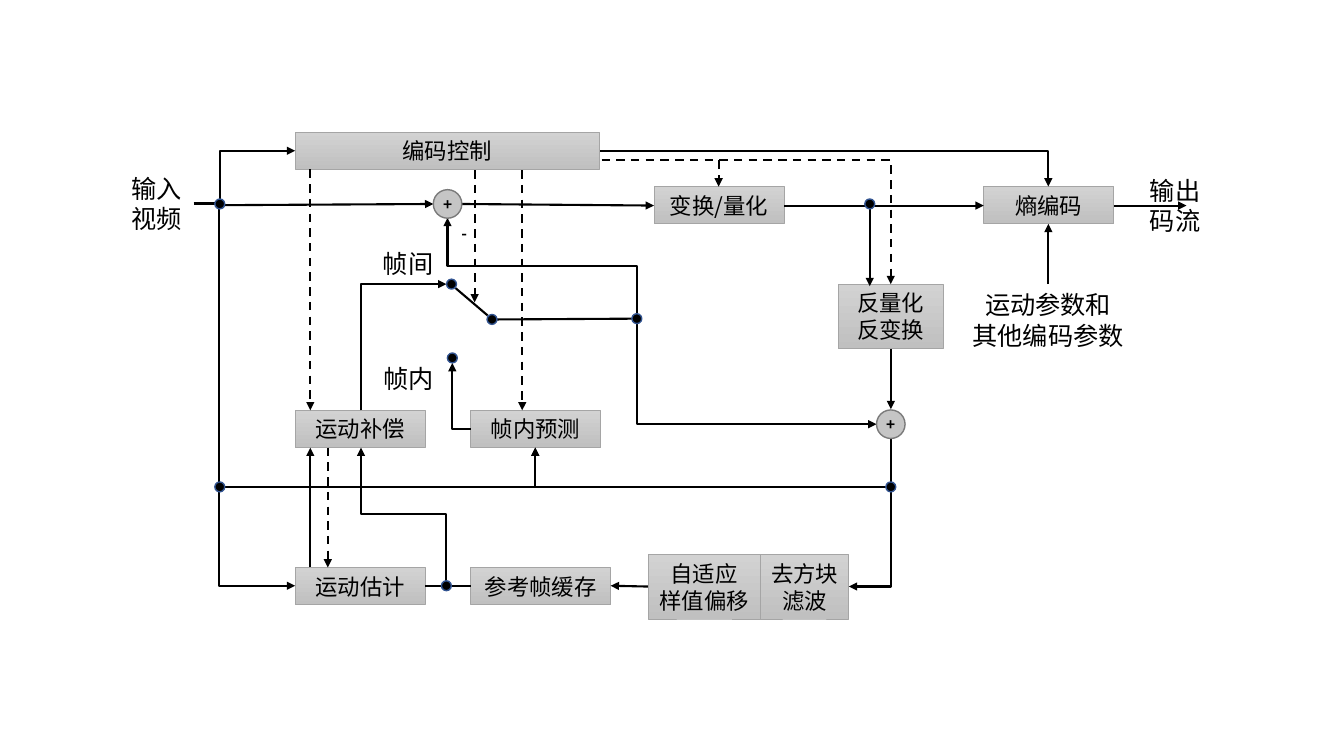
from lxml import etree
from pptx import Presentation
from pptx.dml.color import RGBColor
from pptx.enum.dml import MSO_LINE
from pptx.enum.shapes import MSO_CONNECTOR, MSO_SHAPE
from pptx.enum.text import MSO_ANCHOR, PP_ALIGN
from pptx.oxml.ns import qn
from pptx.util import Cm, Pt

RECTANGLE, OVAL = MSO_SHAPE.RECTANGLE, MSO_SHAPE.OVAL
STRAIGHT, ELBOW = MSO_CONNECTOR.STRAIGHT, MSO_CONNECTOR.ELBOW
LEFT, CENTER, MIDDLE = PP_ALIGN.LEFT, PP_ALIGN.CENTER, MSO_ANCHOR.MIDDLE
DASH = MSO_LINE.DASH

FONT = "Noto Sans CJK SC"
COLORS = {"ink": "000000", "box top": "D2D2D2", "box bottom": "C0C0C0",
          "box edge": "A5A5A5", "adder": "C5C5C5", "adder edge": "7A7A7A",
          "dot edge": "325491"}
BOX_WIDTH, LOW, TALL = 3.28, 0.94, 1.63
DOT, ADDER = 0.25, 0.72

# Text, left, top, width, height in centimetres
BOXES = [
    ("编码控制", 7.44, 3.33, 7.67, LOW),
    ("变换/量化", 16.48, 4.7, BOX_WIDTH, LOW),
    ("熵编码", 24.79, 4.7, BOX_WIDTH, LOW),
    ("反量化\n反变换", 21.13, 7.16, 2.64, TALL),
    ("运动补偿", 7.44, 10.34, BOX_WIDTH, LOW),
    ("帧内预测", 11.86, 10.34, BOX_WIDTH, LOW),
    ("运动估计", 7.44, 14.3, BOX_WIDTH, LOW),
    ("参考帧缓存", 11.86, 14.3, 3.53, LOW),
    ("自适应\n样值偏移", 16.33, 13.97, 2.83, TALL),
    ("去方块\n滤波", 19.16, 13.97, 2.23, TALL),
]
# Text, left, top, width, height, size, alignment, bold
LABELS = [
    ("输入\n视频", 3.07, 4.22, 1.78, 1.8, 18, LEFT, False),
    ("输出\n码流", 28.73, 4.27, 1.78, 1.8, 18, LEFT, False),
    ("运动参数和\n其他编码参数", 24.18, 7.16, 4.47, 1.8, 18, CENTER, False),
    ("帧间", 9.4, 6.12, 1.78, 1.02, 18, LEFT, False),
    ("帧内", 9.42, 9.02, 1.78, 1.02, 18, LEFT, False),
    ("-", 11.25, 5.51, 0.9, 0.74, 11, CENTER, True),
]
DOTS = [(5.54, 5.14), (21.92, 5.14), (11.38, 7.16), (12.4, 8.05), (16.05, 8.03),
        (11.4, 9.02), (5.54, 12.27), (22.45, 12.27), (11.25, 14.76)]
ADDERS = [(11.28, 5.14), (22.45, 10.69)]

ARROWS = [
    ((5.64, 5.17), (10.92, 5.14)), ((11.64, 5.14), (16.48, 5.18)),
    ((19.76, 5.18), (24.79, 5.18)), ((28.07, 5.18), (29.9, 5.18)),
    ((21.92, 5.18), (21.92, 7.21)), ((26.42, 7.16), (26.42, 5.64)),
    ((7.82, 14.3), (7.82, 11.28)), ((22.45, 8.79), (22.45, 10.31)),
    ((16.33, 14.78), (15.39, 14.76)),
]
DASHED_ARROWS = [
    ((7.82, 4.27), (7.82, 10.34)), ((8.26, 11.28), (8.26, 14.3)),
    ((11.96, 4.29), (11.96, 7.62)), ((13.16, 4.29), (13.16, 10.34)),
    ((18.11, 4.04), (18.11, 4.7)),
]
PLAIN_LINES = [((10.72, 14.76), (11.86, 14.76)), ((12.5, 8.05), (15.93, 8.03)),
               ((11.48, 7.26), (12.29, 7.95))]
# Start, end, vertical start, share of the way to the middle leg (None: one corner)
ELBOWS = [
    ((4.88, 5.13), (7.44, 3.8), False, 0.26),
    ((15.13, 3.8), (26.42, 4.7), False, None),
    ((9.1, 10.34), (11.25, 7.16), True, None),
    ((11.25, 14.63), (9.1, 11.28), True, 0.5),
    ((5.52, 5.26), (7.44, 14.76), True, None),
    ((5.66, 12.27), (13.49, 11.28), False, None),
    ((22.33, 12.27), (13.49, 11.28), False, None),
    ((16.05, 7.91), (11.28, 5.49), True, 0.5),
    ((16.05, 8.15), (22.09, 10.69), True, None),
    ((22.45, 11.05), (21.39, 14.78), True, None),
    ((11.86, 10.82), (11.4, 9.15), False, None),
]


def rgb(name):
    """Return the named colour."""
    return RGBColor.from_string(COLORS[name])


def write(shape, text, size, alignment=CENTER, bold=False):
    """Put text in a shape and format each line."""
    frame = shape.text_frame
    frame.text = text
    frame.word_wrap = True
    frame.vertical_anchor = MIDDLE
    frame.margin_top = frame.margin_bottom = Cm(0)
    for paragraph in frame.paragraphs:
        paragraph.alignment = alignment
        paragraph.line_spacing = Pt(round(size * 1.2, 1))
        for run in paragraph.runs:
            run.font.name, run.font.size, run.font.bold = FONT, Pt(size), bold
            run.font.color.rgb = rgb("ink")
            properties = run.font._element
            etree.SubElement(properties, qn("a:ea")).set("typeface", FONT)


def add_outlined(slide, kind, position, edge, edge_width):
    """Add a preset shape with an edge and no shadow."""
    shape = slide.shapes.add_shape(kind, *map(Cm, position))
    shape.shadow.inherit = False
    shape.line.color.rgb = rgb(edge)
    shape.line.width = Pt(edge_width)
    return shape


def add_box(slide, text, *position):
    """Add a processing step with a grey gradient."""
    shape = add_outlined(slide, RECTANGLE, position, "box edge", 0.5)
    shape.fill.gradient()
    shape.fill.gradient_angle = 270
    for stop, name in zip(shape.fill.gradient_stops, ("box top", "box bottom")):
        stop.color.rgb = rgb(name)
    write(shape, text, 16)


def add_circle(slide, center, diameter, fill, edge):
    """Add a filled circle around its centre."""
    left, top = (value - diameter / 2 for value in center)
    shape = add_outlined(slide, OVAL, (left, top, diameter, diameter), edge, 1)
    shape.fill.solid()
    shape.fill.fore_color.rgb = rgb(fill)
    return shape


def add_adder(slide, center):
    """Add a summing point with a plus sign."""
    shape = add_circle(slide, center, ADDER, "adder", "adder edge")
    shape.text_frame.margin_left = shape.text_frame.margin_right = Cm(0)
    write(shape, "+", 11, bold=True)


def add_label(slide, text, left, top, width, height, size, alignment, bold):
    """Add free-standing text."""
    box = slide.shapes.add_textbox(Cm(left), Cm(top), Cm(width), Cm(height))
    write(box, text, size, alignment, bold)


def add_line(slide, start, end, kind=STRAIGHT, dashed=False, arrow=True):
    """Add a black connector, by default with an arrowhead at its end."""
    connector = slide.shapes.add_connector(kind, *map(Cm, (*start, *end)))
    connector.line.color.rgb = rgb("ink")
    connector.line.width = Pt(1.5)
    if dashed:
        connector.line.dash_style = DASH
    if arrow:
        line = connector.line._get_or_add_ln()
        etree.SubElement(line, qn("a:tailEnd")).set("type", "triangle")
    etree.SubElement(connector._element.spPr, qn("a:effectLst"))
    return connector


def add_elbow(slide, start, end, vertical=False, bend=None, dashed=False):
    """Add an arrow with one corner, or with two where bend is given."""
    if vertical:  # laid out on its side, then turned a quarter clockwise
        (x1, y1), (x2, y2) = start, end
        middle_x, middle_y = (x1 + x2) / 2, (y1 + y2) / 2
        half_x, half_y = (x2 - x1) / 2, (y2 - y1) / 2
        start = middle_x - half_y, middle_y + half_x
        end = middle_x + half_y, middle_y - half_x
    connector = add_line(slide, start, end, ELBOW, dashed)
    properties = connector._element.spPr
    if vertical:
        properties.find(qn("a:xfrm")).set("rot", "5400000")
    geometry = properties.find(qn("a:prstGeom"))
    if bend is None:
        geometry.set("prst", "bentConnector2")
    else:
        guide = etree.SubElement(geometry.find(qn("a:avLst")), qn("a:gd"))
        guide.set("name", "adj1")
        guide.set("fmla", f"val {round(bend * 100000)}")


def main():
    """Build the video encoder diagram."""
    presentation = Presentation()
    presentation.slide_width, presentation.slide_height = Cm(33.87), Cm(19.05)
    slide = presentation.slides.add_slide(presentation.slide_layouts[6])
    for box in BOXES:
        add_box(slide, *box)
    for ends in ARROWS:
        add_line(slide, *ends)
    for ends in DASHED_ARROWS:
        add_line(slide, *ends, dashed=True)
    for ends in PLAIN_LINES:
        add_line(slide, *ends, arrow=False)
    for elbow in ELBOWS:
        add_elbow(slide, *elbow)
    add_elbow(slide, (15.16, 4.04), (22.45, 7.16), dashed=True)
    for center in DOTS:
        add_circle(slide, center, DOT, "ink", "dot edge")
    for center in ADDERS:
        add_adder(slide, center)
    for label in LABELS:
        add_label(slide, *label)
    presentation.save("out.pptx")


main()
